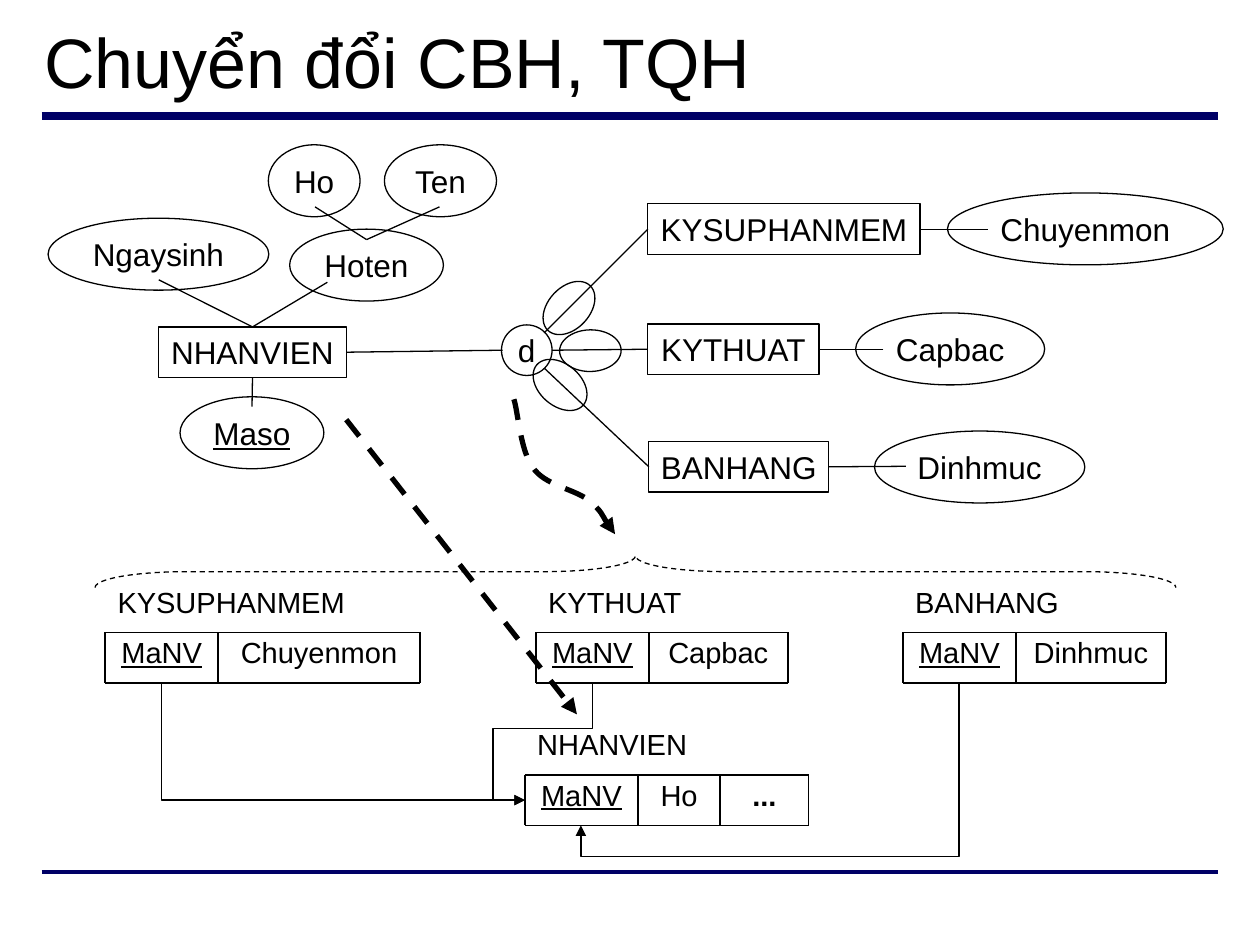
from dataclasses import dataclass
from itertools import accumulate

from lxml import etree
from pptx import Presentation
from pptx.dml.color import RGBColor
from pptx.enum import dml, shapes, text
from pptx.oxml import ns
from pptx.util import Cm, Pt


@dataclass(frozen=True)
class Theme:
    font: str = "Arial"
    ink: RGBColor = RGBColor(0, 0, 0)
    paper: RGBColor = RGBColor(255, 255, 255)
    rule: RGBColor = RGBColor(0, 0, 0x66)
    title_size: float = 40
    diagram_size: float = 18
    schema_size: float = 16.6
    thin: float = 0.75
    grid: float = 1
    thick: float = 3


THEME = Theme()
ROW = 1.02  # height of entities and schema rows, cm
ATTRIBUTE_HEIGHT = 1.45
TOP, LEFT, BOTTOM, RIGHT = range(4)  # connection sites of a rectangle

# name: left, top, width
ENTITIES = {
    "NHANVIEN": (3.2, 6.59, 3.78),
    "KYSUPHANMEM": (13.06, 4.11, 5.49),
    "KYTHUAT": (13.06, 6.53, 3.45),
    "BANHANG": (13.08, 8.9, 3.63),
}
ATTRIBUTES = {
    "Ho": (5.41, 2.92, 1.85),
    "Ten": (7.75, 2.92, 2.26),
    "Hoten": (5.84, 4.62, 3.1),
    "Ngaysinh": (0.97, 4.4, 4.45),
    "Maso": (3.63, 8, 2.9),
    "Chuyenmon": (19.1, 3.89, 5.56),
    "Capbac": (17.25, 6.31, 3.81),
    "Dinhmuc": (17.63, 8.69, 4.24),
}
# free end of the line, entity, side of the entity
LINKS = [
    ((6.6, 5.69), "NHANVIEN", TOP),
    ((3.2, 5.64), "NHANVIEN", TOP),
    ((5.08, 8.2), "NHANVIEN", BOTTOM),
    ((10.13, 7.06), "NHANVIEN", RIGHT),
    ((19.91, 4.62), "KYSUPHANMEM", RIGHT),
    ((17.81, 7.04), "KYTHUAT", RIGHT),
    ((18.26, 9.4), "BANHANG", RIGHT),
    ((10.97, 6.71), "KYSUPHANMEM", LEFT),
    ((11.13, 7.06), "KYTHUAT", LEFT),
    ((10.97, 7.42), "BANHANG", LEFT),
]
# centre x, centre y, rotation of the subset marks
SUBSET_MARKS = [(11.47, 6.21, 43), (11.9, 7.07, 89), (11.29, 7.76, 131)]
# name, left, top, columns with their widths
SCHEMAS = [
    ("KYSUPHANMEM", 2.12, 11.73, {"MaNV": 2.28, "Chuyenmon": 4.06}),
    ("KYTHUAT", 10.8, 11.73, {"MaNV": 2.28, "Capbac": 2.8}),
    ("BANHANG", 18.2, 11.73, {"MaNV": 2.28, "Dinhmuc": 3.02}),
    ("NHANVIEN", 10.58, 14.6, {"MaNV": 2.28, "Ho": 1.66, "...": 1.78}),
]
KEYS = {"Maso", "MaNV"}


def write(frame, words, size=THEME.diagram_size, bold=False, underline=False,
          align=text.PP_ALIGN.CENTER, anchor=text.MSO_ANCHOR.MIDDLE,
          wrap=False, spacing=None):
    frame.word_wrap = wrap
    frame.auto_size = text.MSO_AUTO_SIZE.NONE
    frame.vertical_anchor = anchor
    paragraph = frame.paragraphs[0]
    paragraph.alignment = align
    paragraph.line_spacing = spacing
    run = paragraph.add_run()
    run.text = words
    font = run.font
    font.name, font.size, font.bold = THEME.font, Pt(size), bold
    font.underline = underline
    font.color.rgb = THEME.ink


def style_line(item, color=THEME.ink, width=THEME.thin, dashed=False, arrow=False):
    item.line.color.rgb = color
    item.line.width = Pt(width)
    if dashed:
        item.line.dash_style = dml.MSO_LINE.DASH
    if arrow:
        line = item._element.spPr.find(ns.qn("a:ln"))
        etree.SubElement(line, ns.qn("a:tailEnd"), type="triangle")


def add_outline(slide, kind, left, top, width, height, fill=None, rotation=0, dashed=False):
    shape = slide.shapes.add_shape(kind, Cm(left), Cm(top), Cm(width), Cm(height))
    shape.shadow.inherit = False
    shape.rotation = rotation
    if fill is None:
        shape.fill.background()
    else:
        shape.fill.solid()
        shape.fill.fore_color.rgb = fill
    style_line(shape, dashed=dashed)
    return shape


def add_line(slide, start, end, kind=shapes.MSO_CONNECTOR.STRAIGHT, **look):
    connector = slide.shapes.add_connector(kind, *map(Cm, (*start, *end)))
    style_line(connector, **look)
    etree.SubElement(connector._element.spPr, ns.qn("a:effectLst"))
    return connector


def add_elbow(slide, start, end, preset, rotation, adjustments=(), flip=False):
    """Elbow that leaves its start vertically: a turned preset around the midpoint."""
    connector = add_line(slide, start, end, shapes.MSO_CONNECTOR.ELBOW, arrow=True)
    (x1, y1), (x2, y2) = start, end
    width, height = abs(y2 - y1), abs(x2 - x1)
    connector.left, connector.top = Cm((x1 + x2 - width) / 2), Cm((y1 + y2 - height) / 2)
    connector.width, connector.height = Cm(width), Cm(height)
    transform = connector._element.spPr.find(ns.qn("a:xfrm"))
    transform.set("rot", str(rotation * 60000))
    transform.set("flipH", str(int(flip)))
    transform.set("flipV", "0")
    geometry = connector._element.spPr.find(ns.qn("a:prstGeom"))
    geometry.set("prst", preset)
    guides = geometry.find(ns.qn("a:avLst"))
    for number, value in enumerate(adjustments, 1):
        etree.SubElement(guides, ns.qn("a:gd"), name=f"adj{number}",
                         fmla=f"val {round(value * 100000)}")


def add_curve(slide, points, **look):
    """Open Bézier curve: a start, then two controls and an end for each piece."""
    points = [(Cm(x), Cm(y)) for x, y in points]
    builder = slide.shapes.build_freeform(*points[0])
    builder.add_line_segments(points[1:], close=False)
    shape = builder.convert_to_shape()
    shape.shadow.inherit = False
    shape.fill.background()
    style_line(shape, **look)
    segments = list(shape._element.iter(ns.qn("a:lnTo")))
    for first in range(0, len(segments), 3):
        curve = etree.SubElement(segments[first].getparent(), ns.qn("a:cubicBezTo"))
        for segment in segments[first:first + 3]:
            curve.append(segment[0])
            segment.getparent().remove(segment)


def add_cell(slide, words, left, top, width, **look):
    box = slide.shapes.add_textbox(Cm(left), Cm(top), Cm(width), Cm(ROW))
    write(box.text_frame, words, size=THEME.schema_size, wrap=True, spacing=0.9,
          anchor=text.MSO_ANCHOR.TOP, **look)


def add_schema(slide, name, left, top, columns):
    edges = list(accumulate(columns.values(), initial=left))
    upper, lower = top + ROW, top + 2 * ROW
    add_cell(slide, name, left, top, edges[-1] - left, align=text.PP_ALIGN.LEFT)
    for (column, width), x in zip(columns.items(), edges):
        add_cell(slide, column, x, upper, width, bold=column == "...",
                 underline=column in KEYS)
    for y in (upper, lower):
        add_line(slide, (left, y), (edges[-1], y), width=THEME.grid)
    for x in edges:
        add_line(slide, (x, upper), (x, lower), width=THEME.grid)


def add_diagram(slide):
    entities = {}
    for name, (left, top, width) in ENTITIES.items():
        entities[name] = add_outline(slide, shapes.MSO_SHAPE.RECTANGLE, left, top,
                                     width, ROW, THEME.paper)
        write(entities[name].text_frame, name)
    for name, (left, top, width) in ATTRIBUTES.items():
        oval = add_outline(slide, shapes.MSO_SHAPE.OVAL, left, top, width,
                           ATTRIBUTE_HEIGHT, THEME.paper)
        write(oval.text_frame, name, underline=name in KEYS)
    disjoint = add_outline(slide, shapes.MSO_SHAPE.OVAL, 10.11, 6.55, ROW, ROW)
    write(disjoint.text_frame, "d")
    for x, y, rotation in SUBSET_MARKS:
        add_outline(slide, shapes.MSO_SHAPE.OVAL, x - 0.42, y - 0.62, 0.84, 1.24,
                    rotation=rotation)
    for start, name, side in LINKS:
        add_line(slide, start, start).end_connect(entities[name], side)
    for x in (6.35, 8.86):
        add_line(slide, (x, 4.17), (7.39, 4.83))


def main():
    presentation = Presentation()
    presentation.slide_width, presentation.slide_height = Cm(25.4), Cm(19.05)
    slide = presentation.slides.add_slide(presentation.slide_layouts[5])

    # Title and rules
    title = slide.shapes.title
    title.left, title.top, title.width, title.height = map(Cm, (0.64, 0.23, 24.13, 1.96))
    write(title.text_frame, "Chuyển đổi CBH, TQH", size=THEME.title_size,
          align=text.PP_ALIGN.LEFT, wrap=True)
    for y, width in ((2.34, 4.5), (17.58, 2.25)):
        add_line(slide, (0.84, y), (24.56, y), color=THEME.rule, width=width)

    # Entity diagram and the relations derived from it
    add_diagram(slide)
    for schema in SCHEMAS:
        add_schema(slide, *schema)

    # Foreign keys
    add_elbow(slide, (3.25, 13.77), (10.58, 16.13), "bentConnector2", 270, flip=True)
    add_elbow(slide, (11.94, 13.77), (10.58, 16.13), "bentConnector4", 90, (0.39, 1.47))
    add_elbow(slide, (19.33, 13.77), (11.71, 16.64), "bentConnector3", 90, (1.22,))

    # Conversion arrows and brace
    add_line(slide, (6.98, 8.46), (11.63, 14.4), width=THEME.thick, dashed=True, arrow=True)
    brace = add_outline(slide, shapes.MSO_SHAPE.LEFT_BRACE, 12.49, 0.63, 0.64, 21.79,
                        rotation=90, dashed=True)
    brace.adjustments[0] = 2.86
    add_curve(slide, [(10.36, 8.05), (10.44, 8.28), (10.49, 9.09), (10.74, 9.42),
                      (10.97, 9.78), (11.58, 9.86), (11.86, 10.08),
                      (12.14, 10.31), (12.27, 10.64), (12.4, 10.77)],
              width=THEME.thick, dashed=True, arrow=True)

    presentation.save("out.pptx")


if __name__ == "__main__":
    main()
